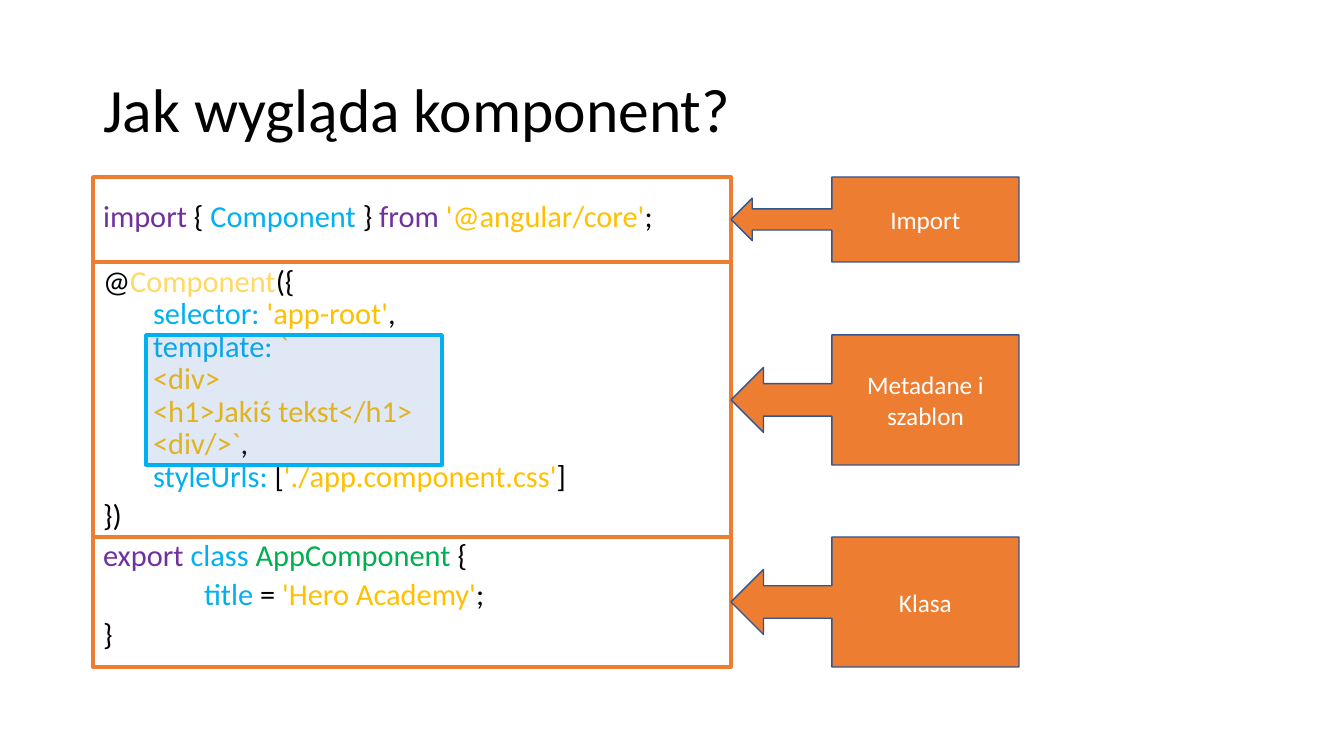
from lxml.etree import SubElement
from pptx import Presentation
from pptx.dml.color import RGBColor
from pptx.enum.shapes import MSO_SHAPE
from pptx.enum.text import MSO_ANCHOR, MSO_AUTO_SIZE, PP_ALIGN
from pptx.oxml.ns import qn
from pptx.util import Emu, Pt

EMU_PER_PX = 914400 / 100.8
FONT = "Calibri"

BLACK = RGBColor(0x00, 0x00, 0x00)
WHITE = RGBColor(0xFF, 0xFF, 0xFF)
ORANGE = RGBColor(0xED, 0x7D, 0x31)
NAVY = RGBColor(0x32, 0x54, 0x91)
BLUE = RGBColor(0x44, 0x72, 0xC4)
PURPLE = RGBColor(0x70, 0x30, 0xA0)
CYAN = RGBColor(0x00, 0xB0, 0xF0)
GOLD = RGBColor(0xFF, 0xC0, 0x00)
PALE_GOLD = RGBColor(0xFF, 0xD9, 0x66)
GREEN = RGBColor(0x00, 0xB0, 0x50)

# Each line: level, left indent in px, space before in points, coloured pieces
CODE = [
    (0, 0, 0, [("import", PURPLE), (" { ", BLACK), ("Component", CYAN), (" } ", BLACK),
               ("from ", PURPLE), ("'@angular/core'", GOLD), (";", BLACK)]),
    (0, 0, 28, [("@", BLACK), ("Component", PALE_GOLD), ("({", BLACK)]),
    (1, 50, 5, [("selector: ", CYAN), ("'app-root'", GOLD), (",", BLACK)]),
    (1, 50, 5, [("template: ", CYAN), ("`", GOLD)]),
    (1, 50, 5, [("<div>", GOLD)]),
    (1, 50, 5, [("<h1>Jakiś tekst</h1>", GOLD)]),
    (1, 50, 5, [("<div/>`", GOLD), (",", BLACK)]),
    (1, 50, 5, [("styleUrls:", CYAN), (" [", BLACK),
                ("'./app.component.css'", GOLD), ("]", BLACK)]),
    (0, 0, 10, [("})", BLACK)]),
    (0, 0, 10, [("export ", PURPLE), ("class ", CYAN), ("AppComponent", GREEN), (" {", BLACK)]),
    (0, 101, 10, [("title", CYAN), (" = ", BLACK), ("'Hero Academy'", GOLD), (";", BLACK)]),
    (0, 0, 10, [("}", BLACK)]),
]

# Each section: label, frame top and height, callout top and height
SECTIONS = [
    ("Klasa", 537, 130, 537, 130),
    ("Metadane i szablon", 262, 275, 335, 130),
    ("Import", 177, 85, 177, 85),
]
FRAME_LEFT, FRAME_WIDTH, CALLOUT_WIDTH = 93, 638, 288


def px(length):
    return Emu(round(length * EMU_PER_PX))


def place(placeholder, left, top, width, height):
    placeholder.left, placeholder.top = px(left), px(top)
    placeholder.width, placeholder.height = px(width), px(height)


def style_run(run, size, color):
    run.font.name = FONT
    run.font.size = Pt(size)
    run.font.color.rgb = color


def fill_title(title):
    place(title, 93, 40, 1159, 146)
    frame = title.text_frame
    frame.text = "Jak wygląda komponent?"
    frame.auto_size = MSO_AUTO_SIZE.NONE
    frame.vertical_anchor = MSO_ANCHOR.MIDDLE
    heading = frame.paragraphs[0]
    heading.alignment = PP_ALIGN.LEFT
    heading.line_spacing = 0.9
    style_run(heading.runs[0], 44, BLACK)


def fill_code(body):
    place(body, 93, 202, 1159, 480)
    frame = body.text_frame
    frame.auto_size = MSO_AUTO_SIZE.NONE
    frame.vertical_anchor = MSO_ANCHOR.TOP
    for number, (level, indent, before, pieces) in enumerate(CODE):
        line = frame.add_paragraph() if number else frame.paragraphs[0]
        line.level = level
        properties = line._p.get_or_add_pPr()
        properties.set("marL", str(px(indent)))
        properties.set("indent", "0")
        SubElement(properties, qn("a:buNone"))
        line.line_spacing = 0.7
        line.space_before = Pt(before)
        for text, color in pieces:
            run = line.add_run()
            run.text = text
            style_run(run, 21.7, color)


def add_box(shapes, kind, bounds, line_color, line_width, fill_color=None):
    box = shapes.add_shape(kind, *map(px, bounds))
    box.shadow.inherit = False
    box.line.color.rgb = line_color
    box.line.width = Pt(line_width)
    if fill_color is None:
        box.fill.background()
    else:
        box.fill.solid()
        box.fill.fore_color.rgb = fill_color
    return box


def add_section(slide, label, frame_top, frame_height, callout_top, callout_height):
    """Frame part of the code and point a labelled callout at it."""
    section = slide.shapes.add_group_shape().shapes
    add_box(section, MSO_SHAPE.RECTANGLE,
            (FRAME_LEFT, frame_top, FRAME_WIDTH, frame_height), ORANGE, 2.5)
    callout = add_box(section, MSO_SHAPE.LEFT_ARROW_CALLOUT,
                      (FRAME_LEFT + FRAME_WIDTH, callout_top, CALLOUT_WIDTH, callout_height),
                      NAVY, 1, ORANGE)
    callout.text_frame.text = label
    callout.text_frame.word_wrap = True
    callout.text_frame.vertical_anchor = MSO_ANCHOR.MIDDLE
    caption = callout.text_frame.paragraphs[0]
    caption.alignment = PP_ALIGN.CENTER
    style_run(caption.runs[0], 18, WHITE)


def add_template_highlight(slide):
    highlight = add_box(slide.shapes, MSO_SHAPE.RECTANGLE, (146, 335, 296, 130), CYAN, 2.5, BLUE)
    color = highlight.fill._xPr.find(qn("a:solidFill")).find(qn("a:srgbClr"))
    SubElement(color, qn("a:alpha")).set("val", "16000")


def main():
    presentation = Presentation()
    presentation.slide_width, presentation.slide_height = px(1344), px(756)
    slide = presentation.slides.add_slide(presentation.slide_layouts[1])
    fill_title(slide.shapes.title)
    fill_code(slide.placeholders[1])
    for section in SECTIONS:
        add_section(slide, *section)
    add_template_highlight(slide)
    presentation.save("out.pptx")


if __name__ == "__main__":
    main()
